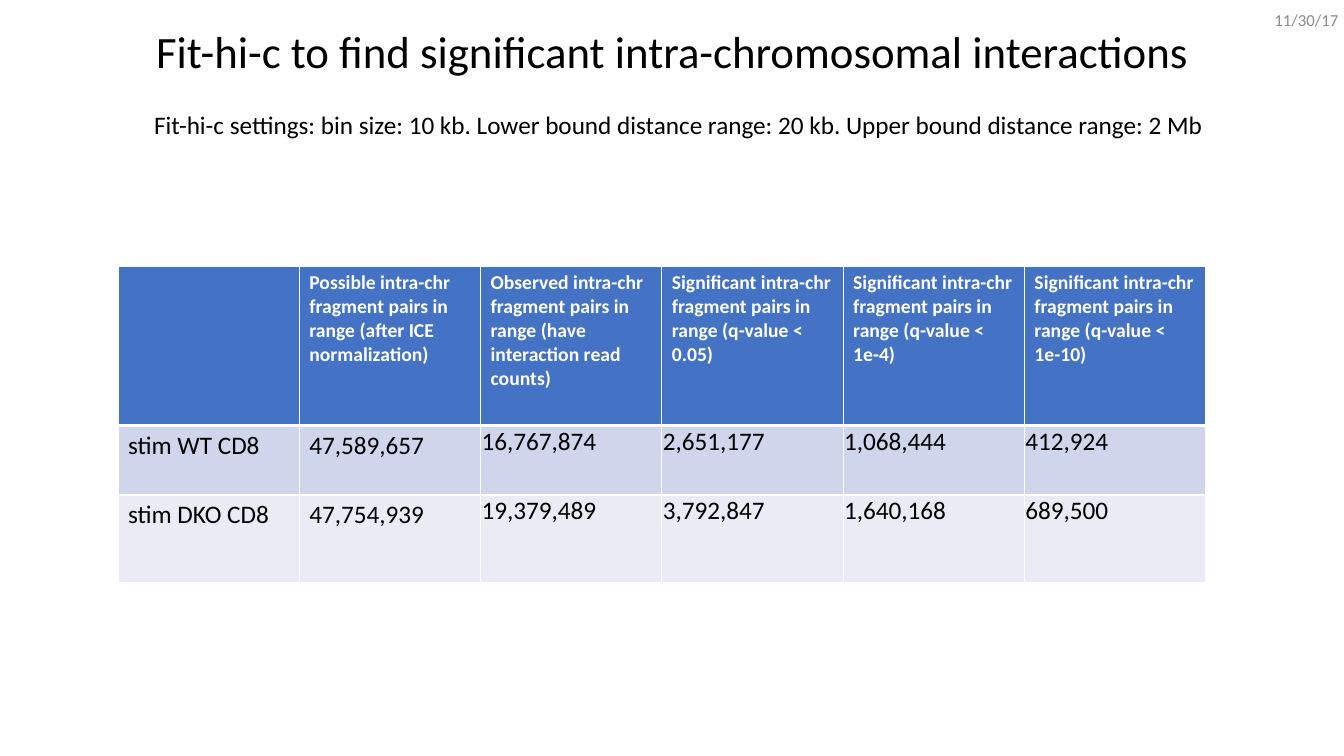
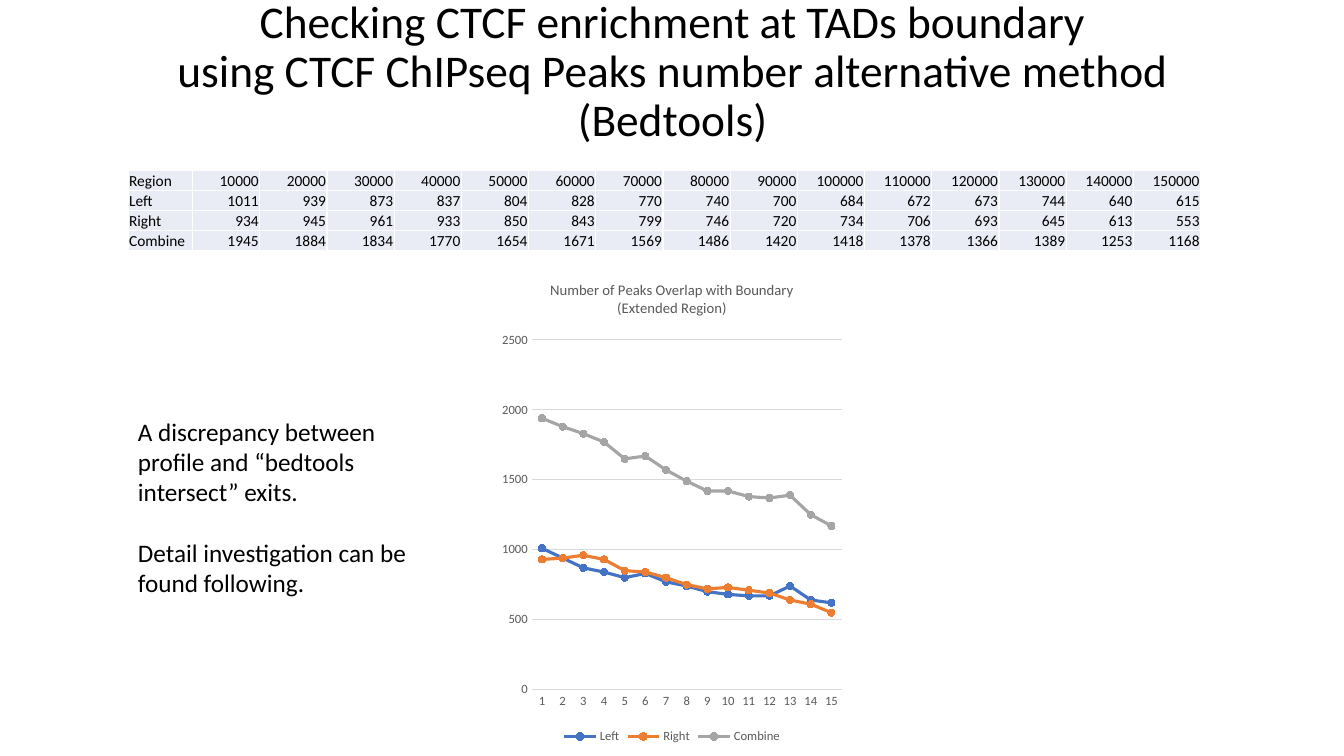
from lxml import etree
from pptx import Presentation
from pptx.chart.data import CategoryChartData
from pptx.dml.color import RGBColor
from pptx.enum.chart import XL_CHART_TYPE, XL_LEGEND_POSITION, XL_MARKER_STYLE, XL_TICK_MARK
from pptx.enum.text import MSO_ANCHOR, PP_ALIGN
from pptx.oxml.ns import qn
from pptx.util import Inches, Pt

WIDTH, HEIGHT = 13.33, 7.5
FONT = "Calibri"
BLACK, WHITE, GRAY, DATE_GRAY, GRID_GRAY = "000000", "FFFFFF", "595959", "8C8C8C", "D9D9D9"
BLUE, ORANGE, SILVER = "4472C4", "ED7D31", "A5A5A5"
BAND_DARK, BAND_LIGHT = "CFD5EA", "E9EBF5"
LEFT, RIGHT, CENTER = PP_ALIGN.LEFT, PP_ALIGN.RIGHT, PP_ALIGN.CENTER
TOP, MIDDLE, BOTTOM = MSO_ANCHOR.TOP, MSO_ANCHOR.MIDDLE, MSO_ANCHOR.BOTTOM
LINE_MARKERS, CIRCLE = XL_CHART_TYPE.LINE_MARKERS, XL_MARKER_STYLE.CIRCLE
LEGEND_BOTTOM, NO_TICKS = XL_LEGEND_POSITION.BOTTOM, XL_TICK_MARK.NONE
NORMAL_INSETS, TIGHT_INSETS = (0.1, 0.05, 0.1, 0.05), (0.01, 0.01, 0.01, 0)

FITHIC_TITLE = ["Fit-hi-c to find significant intra-chromosomal interactions"]
DATE = "11/30/17"
SETTINGS = ("Fit-hi-c settings: bin size: 10 kb. Lower bound distance range: 20 kb. "
            "Upper bound distance range: 2 Mb")
PAIR_ROWS = [
    ["",
     "Possible intra-chr fragment pairs in range (after ICE normalization)",
     "Observed intra-chr fragment pairs in range (have interaction read counts)",
     "Significant intra-chr fragment pairs in range (q-value < 0.05)",
     "Significant intra-chr fragment pairs in range (q-value < 1e-4)",
     "Significant intra-chr fragment pairs in range (q-value < 1e-10)"],
    ["stim WT CD8", "47,589,657", "16,767,874", "2,651,177", "1,068,444", "412,924"],
    ["stim DKO CD8", "47,754,939", "19,379,489", "3,792,847", "1,640,168", "689,500"],
]
PAIR_FILLS = [BLUE, BAND_DARK, BAND_LIGHT]

CTCF_TITLE = ["Checking CTCF enrichment at TADs boundary",
              "using CTCF ChIPseq Peaks number alternative method (Bedtools)"]
PEAKS = {
    "Left": [1011, 939, 873, 837, 804, 828, 770, 740, 700, 684, 672, 673, 744, 640, 615],
    "Right": [934, 945, 961, 933, 850, 843, 799, 746, 720, 734, 706, 693, 645, 613, 553],
    "Combine": [1945, 1884, 1834, 1770, 1654, 1671, 1569, 1486, 1420, 1418, 1378, 1366,
                1389, 1253, 1168],
}
REGIONS = [10000 * step for step in range(1, 16)]
CHART_TITLE = ["Number of Peaks Overlap with Boundary", "(Extended Region)"]
SERIES_COLORS = [BLUE, ORANGE, SILVER]
REMARKS = ["A discrepancy between profile and “bedtools intersect” exits.",
           "Detail investigation can be found following."]


def rgb(color):
    """Turn a hex string into a colour."""
    return RGBColor.from_string(color)


def place(left, top, width, height):
    """Convert a box in inches to lengths."""
    return [Inches(value) for value in (left, top, width, height)]


def style_font(font, size, color, bold=False):
    """Apply the deck's typeface with a size and colour."""
    font.name, font.size, font.bold = FONT, Pt(size), bold
    font.color.rgb = rgb(color)


def add_span(para, text, size, color=BLACK, bold=False):
    """Append one styled run."""
    span = para.add_run()
    span.text = text
    style_font(span.font, size, color, bold)


def add_title(slide, lines, size, height):
    """Fill the title placeholder, centred across the slide."""
    title = slide.shapes.title
    title.left, title.top, title.width, title.height = place(0.92, 0, 11.5, height)
    frame = title.text_frame
    frame.word_wrap, frame.vertical_anchor = True, MIDDLE
    para = frame.paragraphs[0]
    para.alignment, para.line_spacing = CENTER, 0.9
    for index, line in enumerate(lines):
        if index:
            para.add_line_break()
        add_span(para, line, size)


def add_text(slide, box, lines, size, color=BLACK, wrap=False, anchor=TOP, gap=0,
             right_inset=0.1):
    """Add a text box with one paragraph for each line."""
    frame = slide.shapes.add_textbox(*place(*box)).text_frame
    frame.word_wrap, frame.vertical_anchor = wrap, anchor
    frame.margin_right = Inches(right_inset)
    for index, line in enumerate(lines):
        para = frame.add_paragraph() if index else frame.paragraphs[0]
        if index:
            para.space_before = Pt(gap)
        add_span(para, line, size, color)


def set_borders(cell, widths):
    """Draw white borders on a cell, widths in points by side."""
    properties = cell._tc.get_or_add_tcPr()
    for index, (side, width) in enumerate(widths.items()):
        line = etree.Element(qn(f"a:ln{side}"), w=str(Pt(width)))
        fill = etree.SubElement(line, qn("a:solidFill"))
        etree.SubElement(fill, qn("a:srgbClr"), val=WHITE)
        properties.insert(index, line)


def add_grid(slide, left, top, widths, heights):
    """Add an unbanded table with the given column and row sizes."""
    table = slide.shapes.add_table(
        len(heights), len(widths), *place(left, top, sum(widths), sum(heights))).table
    table.first_row = table.horz_banding = False
    for column, width in zip(table.columns, widths):
        column.width = Inches(width)
    for row, height in zip(table.rows, heights):
        row.height = Inches(height)
    return table


def fill_cell(cell, text, fill, size, color=BLACK, bold=False, align=LEFT,
              anchor=TOP, insets=NORMAL_INSETS, top_line=1, bottom_line=1):
    """Write and style one table cell."""
    cell.fill.solid()
    cell.fill.fore_color.rgb = rgb(fill)
    set_borders(cell, {"L": 1, "R": 1, "T": top_line, "B": bottom_line})
    cell.margin_left, cell.margin_top, cell.margin_right, cell.margin_bottom = place(*insets)
    cell.vertical_anchor = anchor
    para = cell.text_frame.paragraphs[0]
    para.alignment = align
    if text:
        add_span(para, text, size, color, bold)


def add_pair_table(slide):
    """Add the table of fragment pairs."""
    columns = len(PAIR_ROWS[0])
    table = add_grid(slide, 1.17, 2.64, [10.79 / columns] * columns, [1.58, 0.69, 0.87])
    for row, (texts, fill) in enumerate(zip(PAIR_ROWS, PAIR_FILLS)):
        for column, text in enumerate(texts):
            cell = table.cell(row, column)
            if row == 0:
                fill_cell(cell, text, fill, 14, WHITE, bold=True, bottom_line=3)
            else:
                insets = TIGHT_INSETS if column > 1 else NORMAL_INSETS
                fill_cell(cell, text, fill, 18, insets=insets,
                          top_line=3 if row == 1 else 1)


def add_peak_table(slide):
    """Add the table of peak counts by region."""
    rows = [["Region", *REGIONS]] + [[name, *counts] for name, counts in PEAKS.items()]
    widths = [0.64] + [10 / len(REGIONS)] * len(REGIONS)
    table = add_grid(slide, 1.27, 1.69, widths, [0.2] * len(rows))
    for row, values in enumerate(rows):
        for column, value in enumerate(values):
            fill_cell(table.cell(row, column), str(value), BAND_LIGHT, 11,
                      align=RIGHT if column else LEFT, anchor=BOTTOM, insets=TIGHT_INSETS)


def style_line(line, color, width):
    """Set the colour and width of a line."""
    line.color.rgb = rgb(color)
    line.width = Pt(width)


def add_peak_chart(slide):
    """Add the line chart of peak counts, rounded to tens."""
    data = CategoryChartData()
    data.categories = [str(step) for step in range(1, len(REGIONS) + 1)]
    for name, counts in PEAKS.items():
        data.add_series(name, [round(count, -1) for count in counts])
    chart = slide.shapes.add_chart(LINE_MARKERS, *place(4.91, 2.6, 3.51, 4.82), data).chart
    style_font(chart.font, 10, BLACK)

    chart.has_title = True
    frame = chart.chart_title.text_frame
    for index, line in enumerate(CHART_TITLE):
        para = frame.add_paragraph() if index else frame.paragraphs[0]
        add_span(para, line, 10.5, GRAY)
    chart.chart_title.include_in_layout = False

    chart.has_legend = True
    chart.legend.position = LEGEND_BOTTOM
    chart.legend.include_in_layout = False
    style_font(chart.legend.font, 9, GRAY)

    for axis in (chart.category_axis, chart.value_axis):
        axis.major_tick_mark = axis.minor_tick_mark = NO_TICKS
        style_font(axis.tick_labels.font, 9, GRAY)
    style_line(chart.category_axis.format.line, GRID_GRAY, 0.75)
    values = chart.value_axis
    values.minimum_scale, values.maximum_scale, values.major_unit = 0, 2500, 500
    values.format.line.fill.background()
    style_line(values.major_gridlines.format.line, GRID_GRAY, 0.75)

    plot = chart.plots[0]
    plot.vary_by_categories = False
    for series, color in zip(plot.series, SERIES_COLORS):
        series.smooth = False
        style_line(series.format.line, color, 2.25)
        marker = series.marker
        marker.style, marker.size = CIRCLE, 5
        marker.format.fill.solid()
        marker.format.fill.fore_color.rgb = rgb(color)
        style_line(marker.format.line, color, 0.75)


def build_fithic_slide(slide):
    """Build the slide on significant interactions."""
    add_title(slide, FITHIC_TITLE, 32, 1.07)
    add_text(slide, (12.54, 0, WIDTH - 12.54, 0.4), [DATE], 12, DATE_GRAY,
             anchor=MIDDLE, right_inset=0)
    add_text(slide, (1.43, 1.04, 10.74, 0.4), [SETTINGS], 18)
    add_pair_table(slide)


def build_ctcf_slide(slide):
    """Build the slide on enrichment at boundaries."""
    add_title(slide, CTCF_TITLE, 32.4, 1.45)
    add_peak_table(slide)
    add_peak_chart(slide)
    add_text(slide, (1.27, 4.08, 2.92, 1.92), REMARKS, 18, wrap=True, gap=21.6)


def main():
    """Build the deck and save it."""
    deck = Presentation()
    deck.slide_width, deck.slide_height = Inches(WIDTH), Inches(HEIGHT)
    title_only = deck.slide_layouts[5]
    for build in (build_fithic_slide, build_ctcf_slide):
        build(deck.slides.add_slide(title_only))
    deck.save("out.pptx")


if __name__ == "__main__":
    main()
